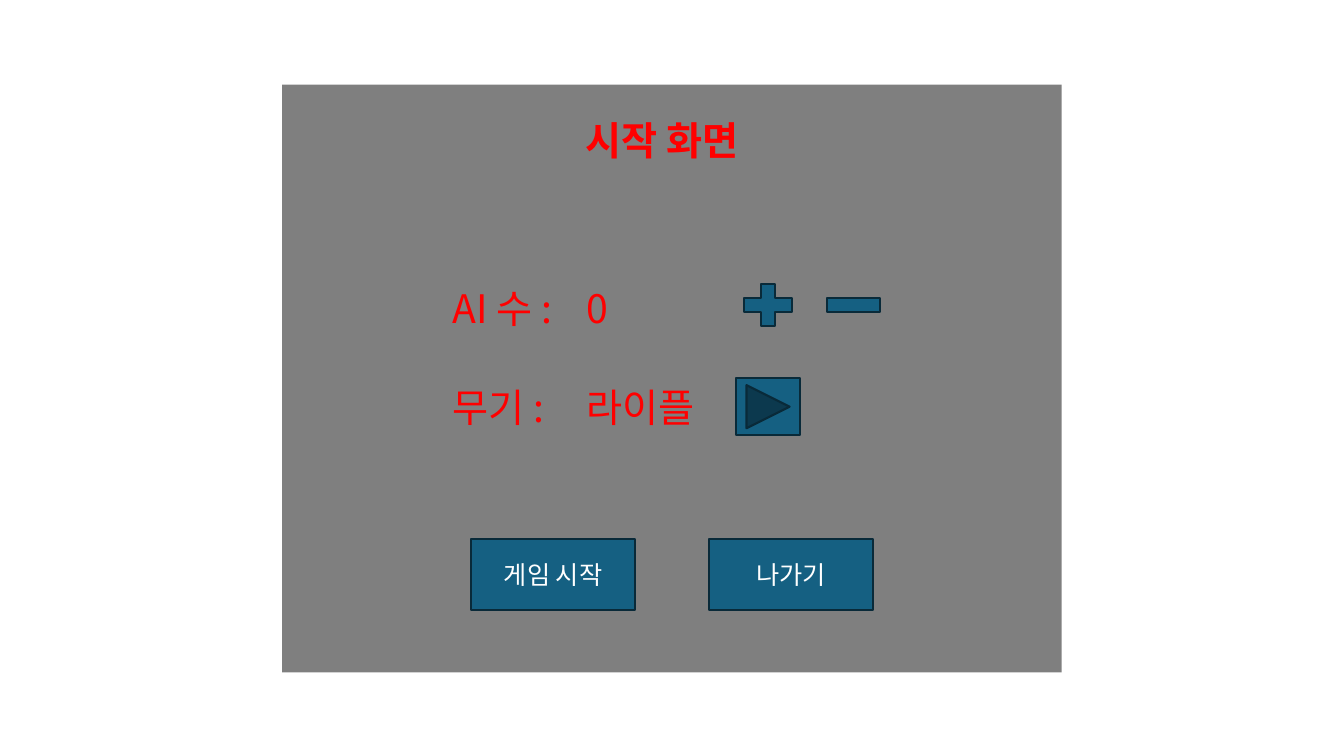
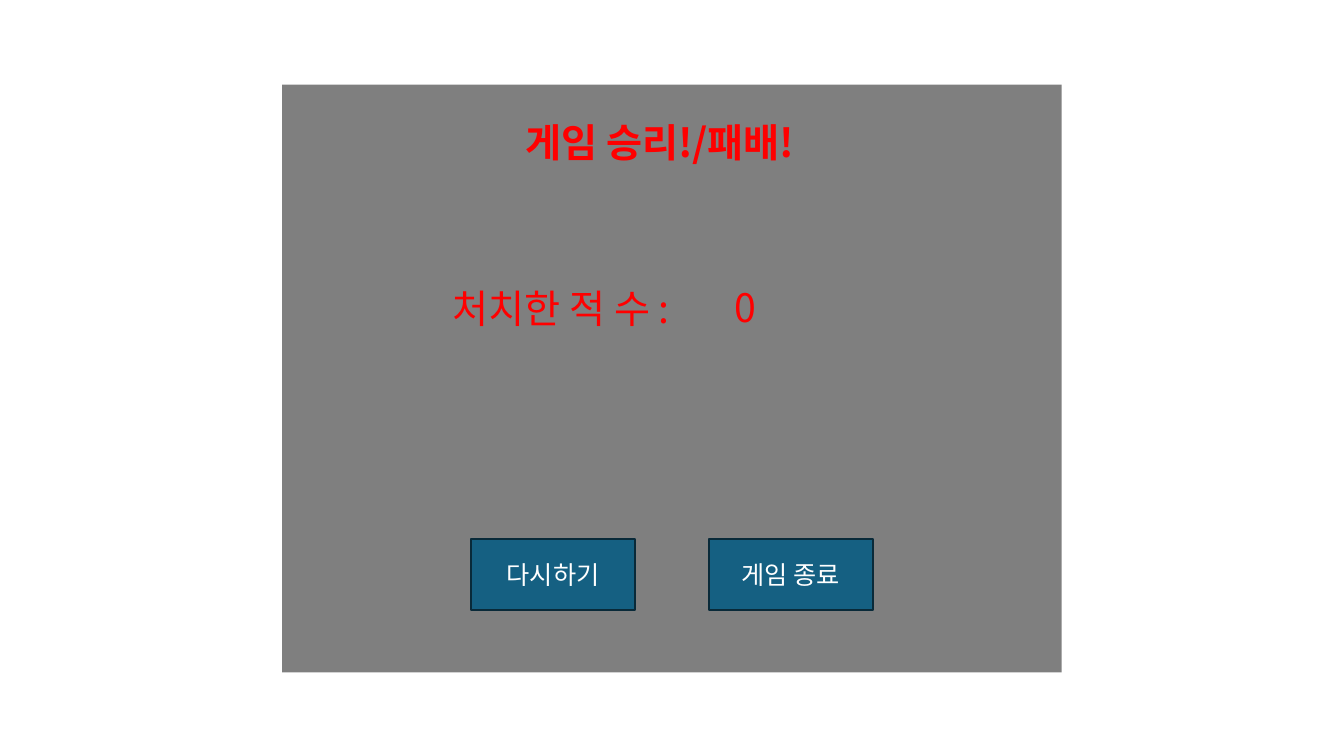
"""Build the start and result screen mock-ups of a game."""
import pptx
import pptx.util
import pptx.dml.color
import pptx.enum.shapes
import pptx.enum.text
import pptx.oxml.ns
import lxml.etree

RGBColor = pptx.dml.color.RGBColor
SHAPE = pptx.enum.shapes.MSO_SHAPE
ALIGN = pptx.enum.text.PP_ALIGN
qn = pptx.oxml.ns.qn

BLACK = RGBColor(0x00, 0x00, 0x00)
WHITE = RGBColor(0xFF, 0xFF, 0xFF)
RED = RGBColor(0xFF, 0x00, 0x00)
BLUE = RGBColor(0x15, 0x60, 0x82)
NAVY = RGBColor(0x09, 0x2A, 0x39)

FONT = "Noto Sans CJK KR"
LINE_H = 7.6
LABEL_X = 32.93
ICON_X, ICON_W = 54.75, 4.8
BUTTON_X, BUTTON_STEP = 35.03, 17.7
ROW_1, ROW_2, BUTTON_Y = 36.93, 50, 71.33


class Deck:
    """Hold the style and the current slide; lengths are percent of the slide."""

    def __init__(self):
        self.prs = pptx.Presentation()
        self.prs.slide_width = pptx.util.Inches(13.33)
        self.prs.slide_height = pptx.util.Inches(7.5)
        self.s = None

    def box(self, x, y, w, h):
        """Turn percent of the slide into left, top, width and height."""
        sw, sh = self.prs.slide_width, self.prs.slide_height
        return [int(v * full / 100) for v, full in ((x, sw), (y, sh), (w, sw), (h, sh))]

    def label(self, sp, text, size, color, bold=False, align=ALIGN.LEFT):
        """Put one styled paragraph into a shape."""
        p = sp.text_frame.paragraphs[0]
        p.text = text
        p.alignment = align
        p.font.size = pptx.util.Pt(size)
        p.font.bold = bold
        p.font.color.rgb = color
        p.font.name = FONT
        rpr = p._p.pPr.find(qn("a:defRPr"))
        lxml.etree.SubElement(rpr, qn("a:ea"), typeface=FONT)

    def fit(self, sp, wrap=False):
        """Let a text shape grow downwards from its top left corner."""
        tf = sp.text_frame
        tf.word_wrap = wrap
        tf.auto_size = pptx.enum.text.MSO_AUTO_SIZE.SHAPE_TO_FIT_TEXT
        tf.vertical_anchor = pptx.enum.text.MSO_ANCHOR.TOP

    def screen(self, title, x, y, w):
        """Start a slide with the dimmed panel and its title."""
        self.s = self.prs.slides.add_slide(self.prs.slide_layouts[5])
        panel = self.shape(SHAPE.RECTANGLE, 21, 11.2, 58, 77.73, BLACK)
        panel.line.fill.background()
        color = panel._element.spPr.find(qn("a:solidFill"))[0]
        lxml.etree.SubElement(color, qn("a:alpha"), val="50000")
        sp = self.s.shapes.title
        panel._element.addnext(sp._element)
        sp.left, sp.top, sp.width, sp.height = self.box(x, y, w, LINE_H)
        self.fit(sp)
        self.label(sp, title, 28, RED, bold=True)

    def shape(self, kind, x, y, w, h, fill=BLUE):
        """Add a filled and outlined preset shape."""
        sp = self.s.shapes.add_shape(kind, *self.box(x, y, w, h))
        sp.shadow.inherit = False
        sp.fill.solid()
        sp.fill.fore_color.rgb = fill
        sp.line.color.rgb = NAVY
        sp.line.width = pptx.util.Pt(1.5)
        return sp

    def field(self, *parts):
        """Group a label with its value; a part is text, x, y, w and wrap."""
        grp = self.s.shapes.add_group_shape()
        for text, x, y, w, wrap in parts:
            sp = grp.shapes.add_textbox(*self.box(x, y, w, LINE_H))
            self.fit(sp, wrap)
            self.label(sp, text, 28, RED)

    def buttons(self, *captions):
        """Add the row of buttons at the foot of the panel."""
        for i, caption in enumerate(captions):
            sp = self.shape(SHAPE.RECTANGLE, BUTTON_X + i * BUTTON_STEP, BUTTON_Y, 12.23, 9.33)
            self.label(sp, caption, 18, WHITE, align=ALIGN.CENTER)


def main():
    """Draw both screens and save them."""
    d = Deck()

    d.screen("시작 화면", 42.83, 14.67, 14.33)
    d.shape(SHAPE.MATH_PLUS, ICON_X, 36.53, ICON_W, LINE_H)
    d.shape(SHAPE.MATH_MINUS, 60.83, 36.53, 5.33, LINE_H)
    d.field(("AI 수 :", LABEL_X, ROW_1, 9.9, False), ("0", 42.9, ROW_1, 3.15, False))
    d.buttons("게임 시작", "나가기")
    d.field(("무기 :", LABEL_X, ROW_2, 9.08, False), ("라이플", 42.9, ROW_2, 11.1, True))
    d.shape(SHAPE.ACTION_BUTTON_FORWARD_OR_NEXT, ICON_X, ROW_2, ICON_W, LINE_H)

    d.screen("게임 승리!/패배!", 38.33, 14.93, 23.4)
    d.field(("처치한 적 수 :", LABEL_X, ROW_1, 20.03, False), ("0", 53.93, 36.8, 3.15, False))
    d.buttons("다시하기", "게임 종료")

    d.prs.save("out.pptx")


if __name__ == "__main__":
    main()
